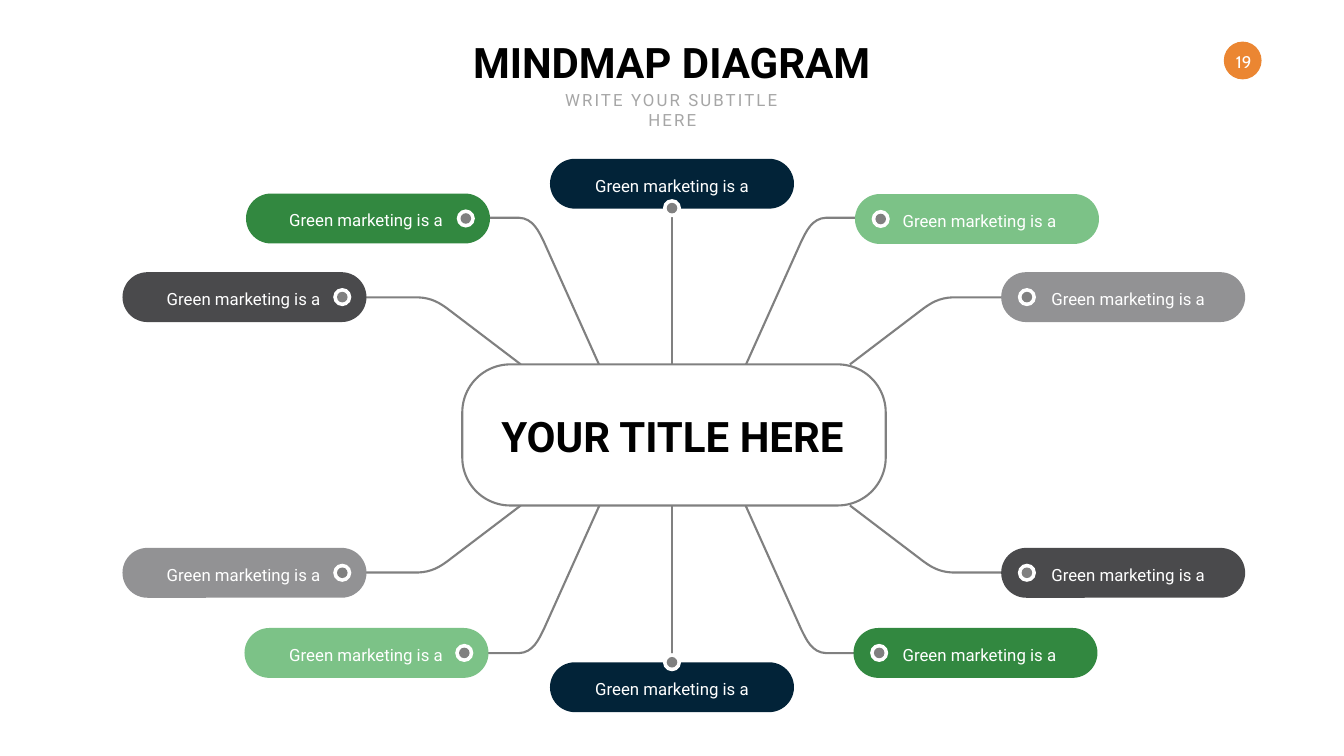
from dataclasses import dataclass
from enum import Enum
from typing import Any

from pptx import Presentation
from pptx.dml.color import RGBColor
from pptx.enum.shapes import MSO_SHAPE as Preset
from pptx.enum.text import MSO_ANCHOR as Anchor
from pptx.enum.text import MSO_AUTO_SIZE as AutoSize
from pptx.enum.text import PP_ALIGN as Align
from pptx.oxml.ns import qn
from pptx.util import Inches, Pt

Point = tuple[float, float]


@dataclass(frozen=True)
class Theme:
    navy: str = "022338"
    green: str = "328840"
    mint: str = "7CC287"
    charcoal: str = "4A4A4C"
    silver: str = "929294"
    orange: str = "EB8632"
    line: str = "808080"
    muted: str = "A6A6A6"
    white: str = "FFFFFF"
    black: str = "000000"
    font: str = "Roboto"
    number_font: str = "Cabin"
    heading_size: int = 60
    label_size: int = 24
    line_width: int = 3


THEME = Theme()
PILL_WIDTH, PILL_HEIGHT = 4.84, 0.99
HUB_TOP, HUB_BOTTOM = 7.23, 10.03
SPOKE_X, SPOKE_LENGTH = 13.33, 3.12


class Side(Enum):
    LEFT = "left"
    RIGHT = "right"
    TOP = "top"
    BOTTOM = "bottom"


@dataclass(frozen=True)
class Topic:
    left: float
    top: float
    color: str
    side: Side
    label_inset: float = 0
    label: str = "Green marketing is a"


@dataclass(frozen=True)
class Branch:
    start: float
    direction: int
    bend: tuple[Point, ...]
    top_start: float = HUB_TOP


OUTER = ((0, 0), (1.46, 1.11), (1.6, 1.21), (1.76, 1.32), (2.04, 1.33), (3.14, 1.33))
INNER = ((0, 0), (1.1, 2.45), (1.2, 2.65), (1.31, 2.92), (1.6, 2.93), (2.37, 2.93))
BRANCHES = (
    Branch(10.33, -1, OUTER),
    Branch(16.86, 1, OUTER),
    Branch(11.89, -1, INNER, 7.25),
    Branch(14.79, 1, INNER, 7.25),
)
TOPICS = (
    Topic(2.43, 5.4, THEME.charcoal, Side.LEFT, 0.77),
    Topic(19.86, 5.4, THEME.silver, Side.RIGHT, 0.85),
    Topic(4.88, 3.84, THEME.green, Side.LEFT, 0.79),
    Topic(16.96, 3.85, THEME.mint, Side.RIGHT, 0.8),
    Topic(10.91, 3.15, THEME.navy, Side.TOP),
    Topic(10.91, 13.14, THEME.navy, Side.BOTTOM),
    Topic(4.85, 12.46, THEME.mint, Side.LEFT, 0.76),
    Topic(16.93, 12.46, THEME.green, Side.RIGHT, 0.83),
    Topic(2.43, 10.87, THEME.silver, Side.LEFT, 0.77),
    Topic(19.86, 10.87, THEME.charcoal, Side.RIGHT, 0.85),
)


def rgb(color: str) -> RGBColor:
    return RGBColor.from_string(color)


def write(holder: Any, text: str, size: int, color: str, *, bold: bool = False,
          font: str = THEME.font, align: Align = Align.CENTER,
          anchor: Anchor = Anchor.MIDDLE) -> Any:
    frame = holder.text_frame
    frame.text = text
    frame.word_wrap = True
    frame.auto_size = AutoSize.NONE
    frame.vertical_anchor = anchor
    paragraph = frame.paragraphs[0]
    paragraph.alignment = align
    paragraph.space_before = Pt(0)
    run = paragraph.runs[0]
    run.font.name = font
    run.font.size = Pt(size)
    run.font.bold = bold
    run.font.color.rgb = rgb(color)
    return run


def set_margins(holder: Any, left: float, top: float, right: float, bottom: float) -> None:
    frame = holder.text_frame
    frame.margin_left, frame.margin_top = Inches(left), Inches(top)
    frame.margin_right, frame.margin_bottom = Inches(right), Inches(bottom)


def place(holder: Any, left: float, top: float, width: float, height: float) -> None:
    holder.left, holder.top = Inches(left), Inches(top)
    holder.width, holder.height = Inches(width), Inches(height)


def add_block(slide: Any, preset: Preset, left: float, top: float, width: float,
              height: float, color: str) -> Any:
    block = slide.shapes.add_shape(preset, Inches(left), Inches(top),
                                   Inches(width), Inches(height))
    block.shadow.inherit = False
    block.fill.solid()
    block.fill.fore_color.rgb = rgb(color)
    block.line.fill.background()
    return block


def add_circle(slide: Any, x: float, y: float, diameter: float, color: str) -> Any:
    return add_block(slide, Preset.OVAL, x - diameter / 2, y - diameter / 2,
                     diameter, diameter, color)


def style_line(outlined: Any) -> None:
    outlined.line.color.rgb = rgb(THEME.line)
    outlined.line.width = Pt(THEME.line_width)


def add_outline(slide: Any, points: list[Point]) -> Any:
    corners = [(Inches(x), Inches(y)) for x, y in points]
    builder = slide.shapes.build_freeform(*corners[0])
    builder.add_line_segments(corners[1:], close=False)
    outline = builder.convert_to_shape()
    outline.shadow.inherit = False
    outline.fill.background()
    style_line(outline)
    return outline


def draw_branch(slide: Any, branch: Branch, start_y: float, vertical: int) -> None:
    outline = add_outline(slide, [(branch.start + branch.direction * x, start_y + vertical * y)
                                  for x, y in branch.bend])
    segments = list(outline._element.iter(qn("a:lnTo")))
    curve = segments[0].makeelement(qn("a:cubicBezTo"), {})
    segments[0].addnext(curve)
    for segment in segments[1:4]:
        curve.append(segment[0])
        segment.getparent().remove(segment)


def draw_spoke(slide: Any, top: float) -> None:
    middle = top + SPOKE_LENGTH / 2
    spoke = add_outline(slide, [(SPOKE_X - SPOKE_LENGTH / 2, middle),
                                (SPOKE_X + SPOKE_LENGTH / 2, middle)])
    spoke.rotation = 90


def draw_topic(slide: Any, topic: Topic) -> None:
    pill = add_block(slide, Preset.ROUNDED_RECTANGLE, topic.left, topic.top,
                     PILL_WIDTH, PILL_HEIGHT, topic.color)
    pill.adjustments[0] = 0.5
    align = {Side.LEFT: Align.RIGHT, Side.RIGHT: Align.LEFT}.get(topic.side, Align.CENTER)
    write(pill, topic.label, THEME.label_size, THEME.white, align=align)
    pill.text_frame.paragraphs[0].line_spacing = Pt(35)
    set_margins(pill, topic.label_inset if topic.side is Side.RIGHT else 0, 0,
                topic.label_inset if topic.side is Side.LEFT else 0, 0.02)
    dot_x, dot_y = {
        Side.LEFT: (PILL_WIDTH - 0.48, PILL_HEIGHT / 2),
        Side.RIGHT: (0.51, PILL_HEIGHT / 2),
        Side.TOP: (PILL_WIDTH / 2, PILL_HEIGHT - 0.01),
        Side.BOTTOM: (PILL_WIDTH / 2, 0),
    }[topic.side]
    for diameter, color in ((0.36, THEME.white), (0.21, THEME.line)):
        add_circle(slide, topic.left + dot_x, topic.top + dot_y, diameter, color)


def main() -> None:
    deck = Presentation()
    deck.slide_width, deck.slide_height = Inches(26.66), Inches(15)
    slide = deck.slides.add_slide(deck.slide_layouts[0])

    heading, subtitle = slide.shapes.title, slide.placeholders[1]
    place(heading, 9.01, 0.67, 8.63, 1.11)
    write(heading, "MINDMAP DIAGRAM", THEME.heading_size, THEME.black, bold=True)
    place(subtitle, 10.62, 1.72, 5.43, 0.9)
    tagline = write(subtitle, "WRITE YOUR SUBTITLE HERE", THEME.label_size, THEME.muted,
                    anchor=Anchor.TOP)
    tagline._r.get_or_add_rPr().set("spc", "300")

    page_badge = add_circle(slide, 24.65, 1.2, 0.75, THEME.orange)
    write(page_badge, "19", THEME.label_size, THEME.white, font=THEME.number_font)
    set_margins(page_badge, 0.04, 0.04, 0, 0)

    for spoke_top in (HUB_TOP - SPOKE_LENGTH, HUB_BOTTOM):
        draw_spoke(slide, spoke_top)
    for branch in BRANCHES:
        draw_branch(slide, branch, branch.top_start, -1)
        draw_branch(slide, branch, HUB_BOTTOM, 1)

    hub = add_block(slide, Preset.ROUNDED_RECTANGLE, 9.17, HUB_TOP, 8.4,
                    HUB_BOTTOM - HUB_TOP, THEME.white)
    hub.adjustments[0] = 0.34
    style_line(hub)
    write(hub, "YOUR TITLE HERE", THEME.heading_size, THEME.black, bold=True)
    set_margins(hub, 0.1, 0.08, 0.16, 0.05)

    for topic in TOPICS:
        draw_topic(slide, topic)

    deck.save("out.pptx")


if __name__ == "__main__":
    main()
